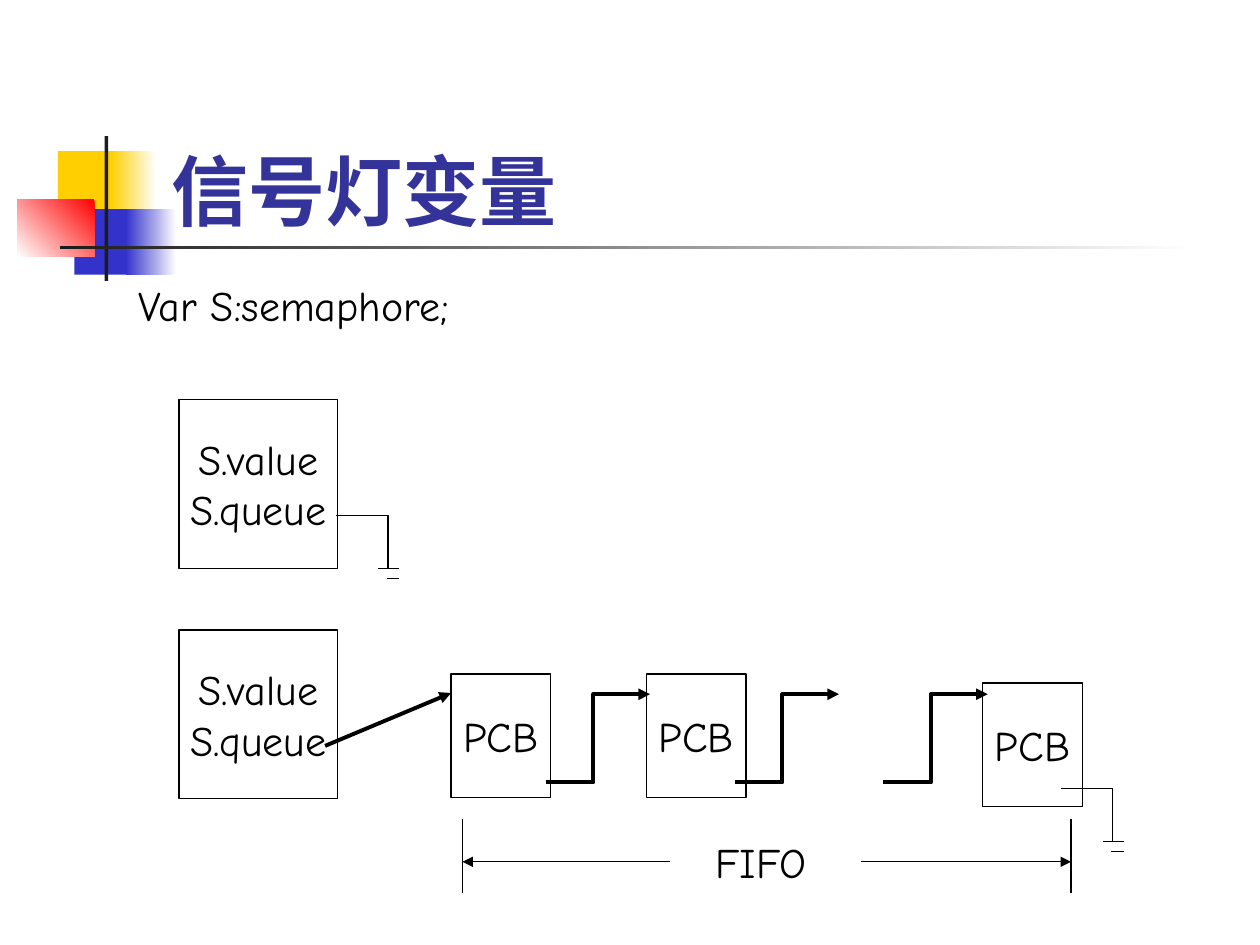
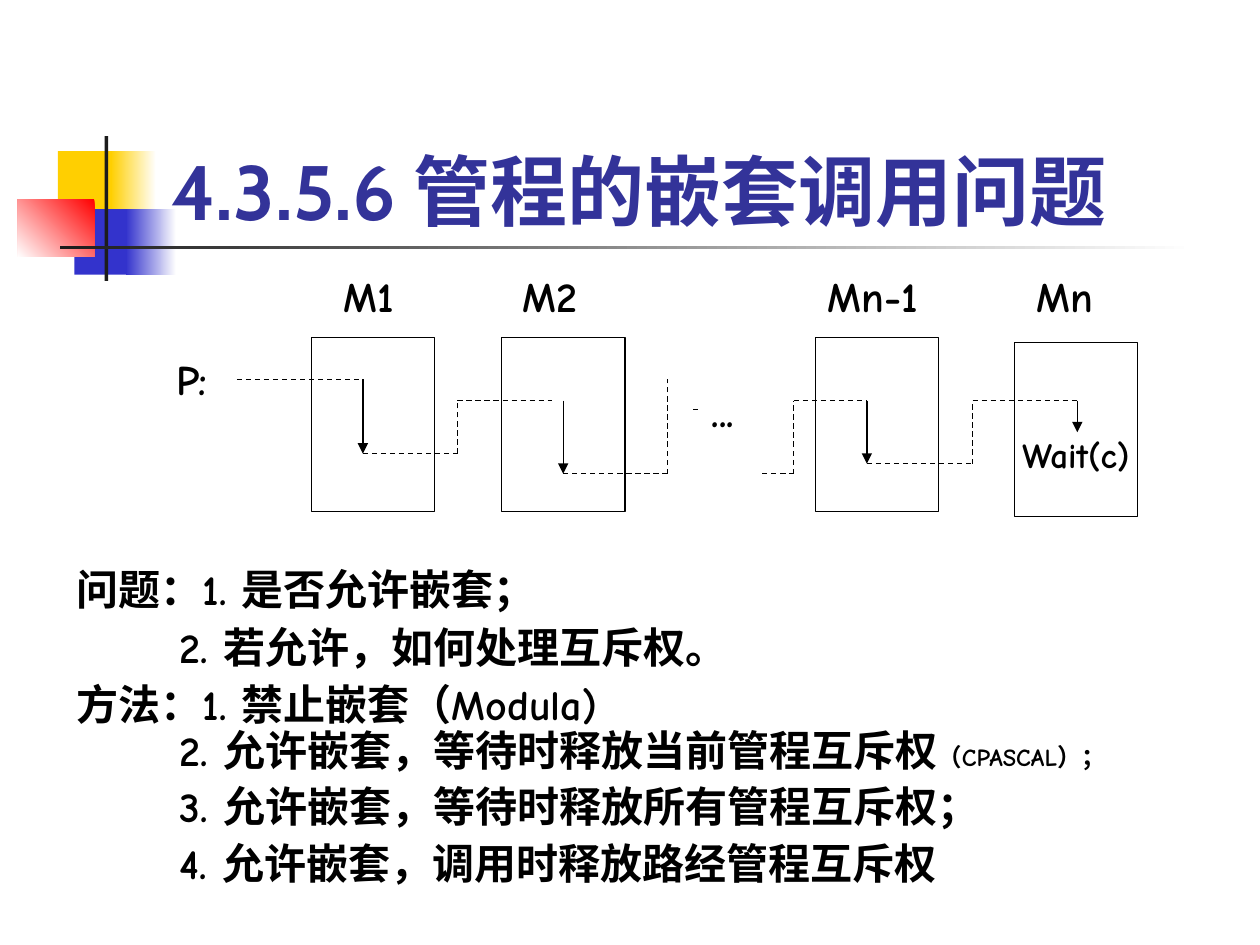
from pptx import Presentation
from pptx.dml.color import RGBColor
from pptx.enum.dml import MSO_LINE
from pptx.enum.shapes import MSO_CONNECTOR, MSO_SHAPE
from pptx.enum.text import MSO_ANCHOR, PP_ALIGN
from pptx.oxml.ns import qn
from pptx.util import Inches, Pt
from lxml import etree

RECTANGLE = MSO_SHAPE.RECTANGLE
STRAIGHT = MSO_CONNECTOR.STRAIGHT
DASH = MSO_LINE.DASH
MIDDLE, BOTTOM = MSO_ANCHOR.MIDDLE, MSO_ANCHOR.BOTTOM
CENTER = PP_ALIGN.CENTER

color = RGBColor.from_string
BLACK, WHITE, INK = "000000", "FFFFFF", "1C1C1C"
YELLOW, BLUE, RED, TITLE_BLUE = "FFCF01", "3333CC", "FF0000", "333399"
BODY_FONT, TITLE_FONT = "Comic Neue", "Cabin"


def add_text(slide, at, lines, outlined=False, fill=None, size=24, bold=False,
             font=BODY_FONT, ink=BLACK):
    place = [Inches(v) for v in at]
    if outlined:
        shape = slide.shapes.add_shape(RECTANGLE, *place)
        shape.shadow.inherit = False
        shape.line.color.rgb = color(BLACK)
        shape.line.width = Pt(0.75)
        if fill:
            shape.fill.solid()
            shape.fill.fore_color.rgb = color(fill)
        else:
            shape.fill.background()
    else:
        shape = slide.shapes.add_textbox(*place)
    frame = shape.text_frame
    frame.word_wrap = not outlined
    if outlined:
        frame.vertical_anchor = MIDDLE
    for i, line in enumerate(lines):
        paragraph = frame.paragraphs[0] if i == 0 else frame.add_paragraph()
        if outlined:
            paragraph.alignment = CENTER
        run = paragraph.add_run()
        run.text = line
        run.font.name = font
        run.font.size = Pt(size)
        run.font.bold = bold
        run.font.color.rgb = color(ink)
    return frame


def add_line(slide, points, width=0.75, arrow=False, dashed=False):
    spots = [(Inches(x), Inches(y)) for x, y in points]
    if len(spots) == 2:
        shape = slide.shapes.add_connector(STRAIGHT, *spots[0], *spots[1])
        etree.SubElement(shape._element.spPr, qn("a:effectLst"))
    else:
        builder = slide.shapes.build_freeform(*spots[0], scale=1.0)
        builder.add_line_segments(spots[1:], close=False)
        shape = builder.convert_to_shape()
        shape.fill.background()
        shape.shadow.inherit = False
    shape.line.color.rgb = color(BLACK)
    shape.line.width = Pt(width)
    if dashed:
        shape.line.dash_style = DASH
    if arrow:
        tail = etree.SubElement(shape.line._get_or_add_ln(), qn("a:tailEnd"))
        tail.set("type", "triangle")


prs = Presentation()
prs.slide_width, prs.slide_height = Inches(10), Inches(7.5)
blank = prs.slide_layouts[6]

motif = [
    ((0.46, 1.2, 0.48, 0.52), YELLOW, None, None),
    ((0.88, 1.2, 0.36, 0.52), WHITE, YELLOW, 180),
    ((0.59, 1.66, 0.46, 0.52), BLUE, None, None),
    ((1, 1.66, 0.4, 0.52), WHITE, BLUE, 180),
    ((0.14, 1.58, 0.61, 0.46), RED, WHITE, 225),
    ((0.83, 1.08, 0.03, 1.15), INK, None, None),
    ((0.48, 1.95, 9, 0.03), WHITE, INK, 180),
]
pages = []
for title in ("信号灯变量", "4.3.5.6 管程的嵌套调用问题"):
    page = prs.slides.add_slide(blank)
    for at, start, end, angle in motif:
        block = page.shapes.add_shape(RECTANGLE, *[Inches(v) for v in at])
        block.shadow.inherit = False
        block.line.fill.background()
        if end:
            block.fill.gradient()
            block.fill.gradient_angle = angle
            for stop, shade in zip(block.fill.gradient_stops, (start, end)):
                stop.color.rgb = color(shade)
        else:
            block.fill.solid()
            block.fill.fore_color.rgb = color(start)
    heading = add_text(page, (1.26, 0.67, 8.52, 1.25), [title], size=44,
                       bold=True, font=TITLE_FONT, ink=TITLE_BLUE)
    heading.vertical_anchor = BOTTOM
    pages.append(page)
semaphore, monitors = pages

add_text(semaphore, (1, 2.17, 7.08, 0.5), ["Var S:semaphore;"])
for top in (3.17, 5):
    add_text(semaphore, (1.42, top, 1.26, 1.34), ["S.value", "S.queue"], outlined=True)
for left, top in ((3.58, 5.35), (5.13, 5.35), (7.8, 5.42)):
    add_text(semaphore, (left, top, 0.79, 0.98), ["PCB"], outlined=True)

add_line(semaphore, [(2.58, 5.92), (3.58, 5.5)], width=2.25, arrow=True)
for x in (4.33, 5.83, 7.01):
    link = [(x, 6.21), (x + 0.38, 6.21), (x + 0.38, 5.51), (x + 0.83, 5.51)]
    add_line(semaphore, link, width=2.25, arrow=True)

for x, y in ((2.67, 4.09), (8.42, 6.26)):
    add_line(semaphore, [(x, y), (x + 0.41, y), (x + 0.41, y + 0.42)])
    add_line(semaphore, [(x + 0.33, y + 0.42), (x + 0.5, y + 0.42)])
    add_line(semaphore, [(x + 0.4, y + 0.5), (x + 0.5, y + 0.5)])

for inner, edge in ((5.32, 3.67), (6.83, 8.5)):
    add_line(semaphore, [(edge, 6.5), (edge, 7.09)])
    add_line(semaphore, [(inner, 6.84), (edge, 6.84)], arrow=True)
add_text(semaphore, (5.58, 6.59, 1.17, 0.5), ["FIFO"])

for left in (2.47, 3.98, 6.47):
    add_text(monitors, (left, 2.68, 0.98, 1.38), [], outlined=True, fill=WHITE)
waiting = add_text(monitors, (8.05, 2.72, 0.98, 1.38), ["Wait(c)"], outlined=True,
                   fill=WHITE, size=20, bold=True)
waiting.margin_top = Inches(0.45)

call_routes = [
    [(1.88, 3.01), (2.88, 3.01)],
    [(2.88, 3.6), (3.63, 3.6), (3.63, 3.18), (4.38, 3.18)],
    [(4.47, 3.76), (5.3, 3.76), (5.3, 3.01)],
    [(5.5, 3.25), (5.55, 3.25)],
    [(6.05, 3.76), (6.3, 3.76), (6.3, 3.18), (6.88, 3.18)],
    [(6.88, 3.68), (7.72, 3.68), (7.72, 3.18), (8.55, 3.18)],
]
for route in call_routes:
    for leg in zip(route, route[1:]):
        add_line(monitors, leg, dashed=True)
for x, top, bottom in ((2.88, 3.01, 3.6), (4.47, 3.18, 3.76),
                       (6.88, 3.18, 3.68), (8.55, 3.18, 3.43)):
    add_line(monitors, [(x, top), (x, bottom)], arrow=True)

for label, left, top, width in (("P:", 1.3, 2.76, 0.5), ("M1", 2.63, 2.1, 0.71),
                                ("M2", 4.05, 2.1, 0.75), ("Mn-1", 6.47, 2.1, 1.08),
                                ("Mn", 8.13, 2.1, 0.83), ("...", 5.55, 3.01, 0.58)):
    add_text(monitors, (left, top, width, 0.5), [label], bold=True)

questions = [
    "问题：1. 是否允许嵌套；",
    "2. 若允许，如何处理互斥权。",
    "方法：1. 禁止嵌套（Modula)",
    "2. 允许嵌套，等待时释放当前管程互斥权",
    "3. 允许嵌套，等待时释放所有管程互斥权；",
    "4. 允许嵌套，调用时释放路经管程互斥权",
]
discussion = add_text(monitors, (0.51, 4.42, 8.99, 2.66), questions, bold=True)
for i, paragraph in enumerate(discussion.paragraphs):
    paragraph.space_before = Pt(8.8 if i == 3 else 15)
    if i > 0:
        paragraph.line_spacing = 0.6
    if questions[i][0].isdigit():
        paragraph._p.get_or_add_pPr().set("marL", str(Inches(0.82)))
        paragraph._p.get_or_add_pPr().set("indent", "0")
language = discussion.paragraphs[3].add_run()
language.text = "（CPASCAL）；"
language.font.name = BODY_FONT
language.font.size = Pt(14)
language.font.bold = True
language.font.color.rgb = color(BLACK)

prs.save("out.pptx")
